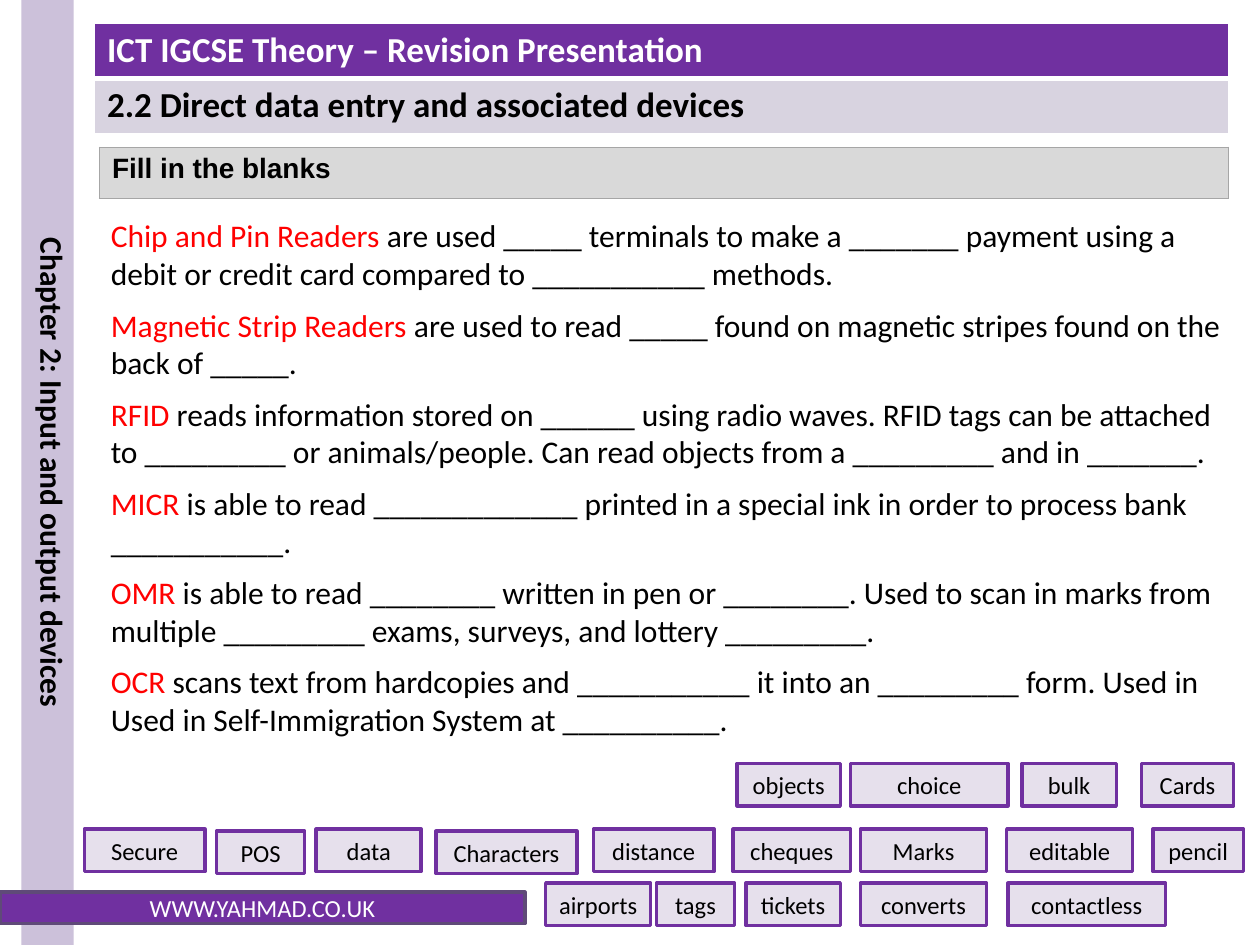
from pptx import Presentation
from pptx import util as u
from pptx.dml.color import RGBColor
from pptx.enum import shapes, text
from pptx.oxml import parse_xml
from pptx.oxml.ns import nsdecls

COLORS = {
    "purple": "7030A0", "purple_edge": "5F4A78", "lilac": "CCC1DA",
    "subtitle": "D8D3E0", "chip": "E6E0EC", "grey": "D9D9D9",
    "grey_edge": "A6A6A6", "red": "FF0000", "black": "000000", "white": "FFFFFF",
}
SIDES = ("lnL", "lnR", "lnT", "lnB")

QUESTIONS = [
    ("Chip and Pin Readers ", "are used _____ terminals to make a _______ payment using a "
     "debit or credit card compared to ___________ methods."),
    ("Magnetic Strip Readers ", "are used to read _____ found on magnetic stripes found on "
     "the back of _____."),
    ("RFID", " reads information stored on ______ using radio waves. RFID tags can be "
     "attached to _________ or animals/people. Can read objects from a _________ "
     "and in _______."),
    ("MICR", " is able to read _____________ printed in a special ink in order to process "
     "bank ___________."),
    ("OMR", " is able to read ________ written in pen or ________. Used to scan in marks "
     "from multiple _________ exams, surveys, and lottery _________."),
    ("OCR", " scans text from hardcopies and ___________ it into an _________ form. Used in "
     "Used in Self-Immigration System at __________."),
]

WORD_ROWS = [
    (436.3, [("objects", 421.2, 59), ("choice", 486, 90), ("bulk", 583.9, 54),
             ("Cards", 652.3, 52.6)]),
    (473.8, [("Secure", 48.2, 69), ("data", 180.7, 60), ("distance", 339.1, 69),
             ("cheques", 419, 67), ("Marks", 491.8, 72), ("editable", 575.3, 72),
             ("pencil", 658.8, 51.8)]),
    (475, [("POS", 123.8, 50.4), ("Characters", 249.1, 80.6)]),
    (504.7, [("airports", 311.8, 60), ("tags", 375.1, 44.6), ("tickets", 426.2, 54),
             ("converts", 491.8, 72), ("contactless", 576, 90)]),
]


class SlideBuilder:
    def __init__(self, s, font="Calibri"):
        self.s = s
        self.font = font

    def color(self, name):
        return RGBColor.from_string(COLORS[name])

    def style(self, font, size, color=None, bold=False, name=None):
        font.name = name or self.font
        font.size = u.Pt(size)
        font.bold = bold
        if color:
            font.color.rgb = self.color(color)

    def rect(self, x, y, w, h, fill, line=None, label=None, color="black"):
        sp = self.s.shapes.add_shape(shapes.MSO_SHAPE.RECTANGLE,
                                     u.Pt(x), u.Pt(y), u.Pt(w), u.Pt(h))
        sp.shadow.inherit = False
        sp.fill.solid()
        sp.fill.fore_color.rgb = self.color(fill)
        if line:
            sp.line.color.rgb = self.color(line)
            sp.line.width = u.Pt(2)
        else:
            sp.line.fill.background()
        if label:
            tf = sp.text_frame
            tf.word_wrap = False
            tf.vertical_anchor = text.MSO_ANCHOR.MIDDLE
            p = tf.paragraphs[0]
            p.text = label
            p.alignment = text.PP_ALIGN.CENTER
            self.style(p.font, 14, color)

    def text_frame(self, x, y, w, h):
        sp = self.s.shapes.add_textbox(u.Pt(x), u.Pt(y), u.Pt(w), u.Pt(h))
        sp.text_frame.word_wrap = True
        return sp.text_frame

    def sidebar_label(self, x, y, w, h, label):
        tf = self.text_frame(x, y, w, h)
        tf._txBody.bodyPr.set("vert", "vert")
        p = tf.paragraphs[0]
        p.text = label
        p.alignment = text.PP_ALIGN.CENTER
        self.style(p.font, 18, "black", bold=True)

    def questions(self, x, y, w, h, items, gap):
        tf = self.text_frame(x, y, w, h)
        for i, (term, sentence) in enumerate(items):
            p = tf.paragraphs[0] if i == 0 else tf.add_paragraph()
            if i:
                p.space_before = u.Pt(gap)
            self.style(p.font, 18)
            for words, color in ((term, "red"), (sentence, "black")):
                r = p.add_run()
                r.text = words
                r.font.color.rgb = self.color(color)

    def borders(self, cell, color, widths):
        tc_pr = cell._tc.get_or_add_tcPr()
        for i, (side, width) in enumerate(zip(SIDES, widths)):
            tc_pr.insert(i, parse_xml(
                f'<a:{side} {nsdecls("a")} w="{u.Pt(width)}"><a:solidFill>'
                f'<a:srgbClr val="{COLORS[color]}"/></a:solidFill></a:{side}>'))

    def table(self, x, y, w, row_h, rows, edge, size, font=None, divider=1):
        tbl = self.s.shapes.add_table(len(rows), 1, u.Pt(x), u.Pt(y), u.Pt(w),
                                      u.Pt(row_h * len(rows))).table
        last = len(rows) - 1
        for i, (label, fill, color) in enumerate(rows):
            cell = tbl.cell(i, 0)
            cell.fill.solid()
            cell.fill.fore_color.rgb = self.color(fill)
            self.borders(cell, edge, (1, 1, divider if i else 1,
                                      divider if i < last else 1))
            p = cell.text_frame.paragraphs[0]
            p.text = label
            self.style(p.font, size, color, bold=True, name=font)


def main():
    prs = Presentation()
    prs.slide_width, prs.slide_height = u.Pt(720), u.Pt(540)
    b = SlideBuilder(prs.slides.add_slide(prs.slide_layouts[6]))

    b.table(54, 13, 648, 31.3, [
        ("ICT IGCSE Theory – Revision Presentation", "purple", "white"),
        ("2.2 Direct data entry and associated devices", "subtitle", "black"),
    ], "white", 20, divider=3)
    b.rect(12.2, 0, 30, 540, "lilac")
    b.sidebar_label(8.6, 0, 36, 540, "Chapter 2: Input and output devices")
    b.rect(0, 509.8, 300, 18, "purple", "purple_edge", "WWW.YAHMAD.CO.UK", "white")

    b.table(56.9, 84.2, 645, 29.2, [("Fill in the blanks", "grey", "black")],
            "grey_edge", 16, font="Arial")
    b.questions(56.2, 120.2, 648.7, 316, QUESTIONS, gap=7.7)

    for top, words in WORD_ROWS:
        for word, left, width in words:
            b.rect(left, top, width, 24.2, "chip", "purple", word)

    prs.save("out.pptx")


if __name__ == "__main__":
    main()
